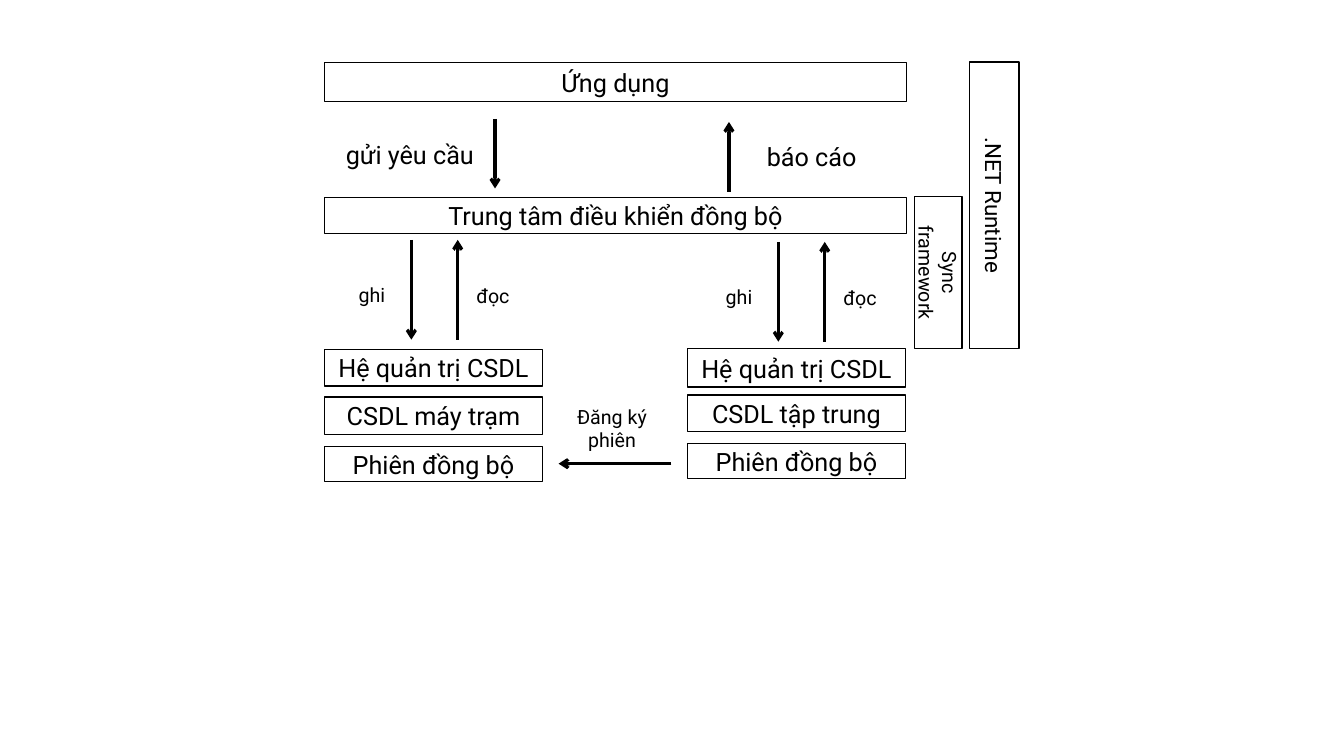
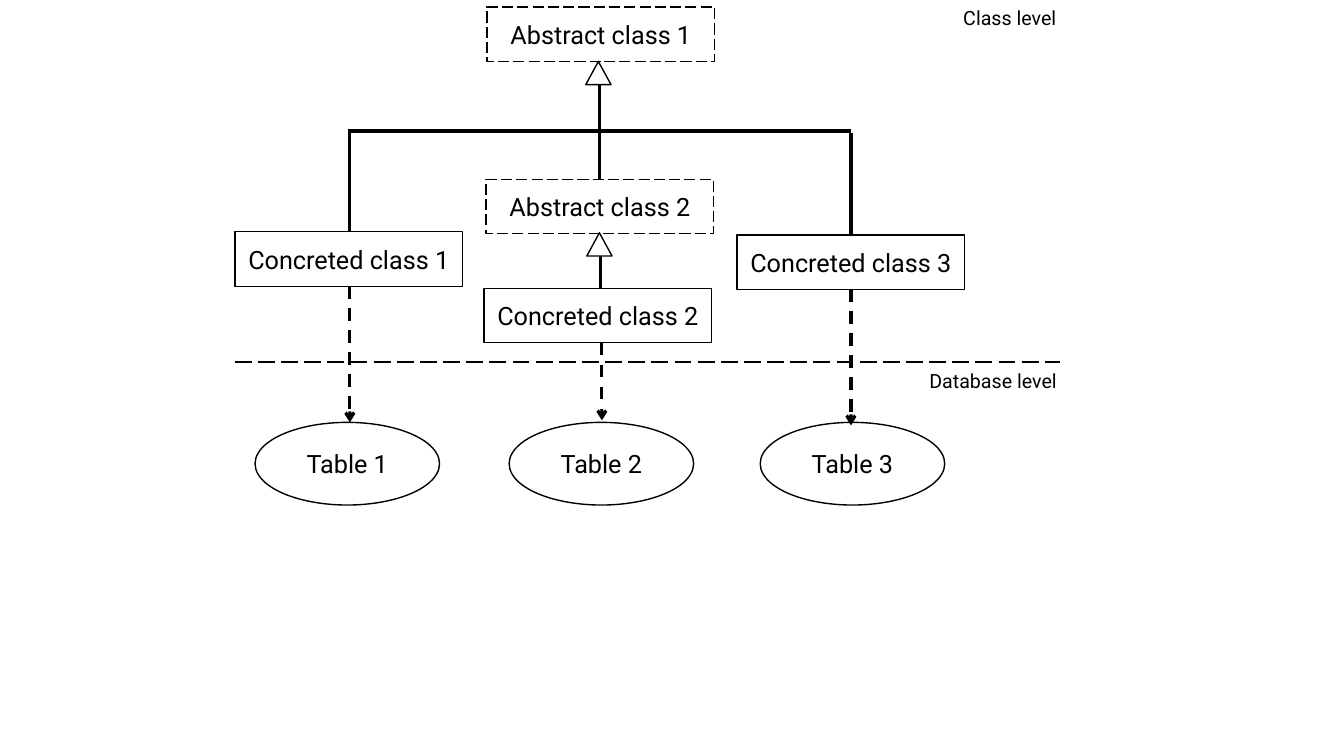
from dataclasses import dataclass

from lxml import etree
from pptx import Presentation
from pptx.dml.color import RGBColor
from pptx.enum.dml import MSO_LINE
from pptx.enum.shapes import MSO_CONNECTOR, MSO_SHAPE
from pptx.enum.text import MSO_ANCHOR, PP_ALIGN
from pptx.oxml.ns import qn
from pptx.util import Inches, Pt

RECTANGLE, OVAL, TRIANGLE = MSO_SHAPE.RECTANGLE, MSO_SHAPE.OVAL, MSO_SHAPE.ISOSCELES_TRIANGLE
STRAIGHT = MSO_CONNECTOR.STRAIGHT
DASH, LONG_DASH = MSO_LINE.DASH, MSO_LINE.LONG_DASH
MIDDLE, CENTER = MSO_ANCHOR.MIDDLE, PP_ALIGN.CENTER

SLIDE_WIDTH, SLIDE_HEIGHT = 13.33, 7.5
COLUMNS, ROWS = 133.3, 75
BLANK_LAYOUT = 6


@dataclass(frozen=True)
class Theme:
    font: str = "Roboto"
    ink: RGBColor = RGBColor(0, 0, 0)
    paper: RGBColor = RGBColor(255, 255, 255)
    body: float = 18
    side: float = 16
    small: float = 14
    outline: float = 1
    divider: float = 1.5
    link: float = 2.25


class Diagram:
    """Draws on the current slide; all lengths are columns and rows of the grid."""

    def __init__(self, theme):
        self.theme = theme
        self.deck = Presentation()
        self.deck.slide_width = Inches(SLIDE_WIDTH)
        self.deck.slide_height = Inches(SLIDE_HEIGHT)
        self.slide = None

    def new_slide(self):
        self.slide = self.deck.slides.add_slide(self.deck.slide_layouts[BLANK_LAYOUT])
        fill = self.slide.background.fill
        fill.solid()
        fill.fore_color.rgb = self.theme.paper

    def place(self, column, row):
        return (round(self.deck.slide_width * column / COLUMNS),
                round(self.deck.slide_height * row / ROWS))

    def set_text(self, shape, text, size):
        frame = shape.text_frame
        frame.word_wrap = True
        frame.vertical_anchor = MIDDLE
        paragraph = frame.paragraphs[0]
        paragraph.alignment = CENTER
        run = paragraph.add_run()
        run.text = text
        run.font.name = self.theme.font
        run.font.size = Pt(size)
        run.font.color.rgb = self.theme.ink

    def stroke(self, line, width, dash=None):
        line.color.rgb = self.theme.ink
        line.width = Pt(width)
        if dash:
            line.dash_style = dash

    def node(self, column, row, width, height, text="", kind=RECTANGLE,
             size=None, dash=None, rotation=0):
        """Outlined shape; the frame is the one before rotation."""
        shape = self.slide.shapes.add_shape(
            kind, *self.place(column, row), *self.place(width, height))
        shape.shadow.inherit = False
        shape.fill.background()
        shape.rotation = rotation
        self.stroke(shape.line, self.theme.outline, dash)
        if text:
            self.set_text(shape, text, size or self.theme.body)

    def label(self, column, row, width, text, size=None, height=5.4):
        box = self.slide.shapes.add_textbox(
            *self.place(column, row), *self.place(width, height))
        self.set_text(box, text, size or self.theme.small)

    def link(self, start, end, arrow=False, dash=None, width=None):
        connector = self.slide.shapes.add_connector(
            STRAIGHT, *self.place(*start), *self.place(*end))
        self.stroke(connector.line, width or self.theme.link, dash)
        properties = connector._element.spPr
        if arrow:
            etree.SubElement(properties.find(qn("a:ln")), qn("a:tailEnd"), type="arrow")
        etree.SubElement(properties, qn("a:effectLst"))

    def exchange(self, column, row, length=9.9, gap=4.6):
        """Write arrow going down beside a read arrow going up."""
        self.link((column, row), (column, row + length), arrow=True)
        self.link((column + gap, row + length), (column + gap, row), arrow=True)
        self.label(column - 9.2, row + 2.7, 10.6, "ghi")
        self.label(column + 2.8, row + 2.8, 10.6, "đọc")


def draw_sync_architecture(diagram):
    theme = diagram.theme
    diagram.new_slide()
    client, server = 32.2, 68.2
    for row, height, text in ((6.2, 3.9, "Ứng dụng"),
                              (19.6, 3.6, "Trung tâm điều khiển đồng bộ")):
        diagram.node(client, row, 57.7, height, text)

    stacks = {
        client: ((34.7, 3.6, "Hệ quản trị CSDL"), (39.4, 3.7, "CSDL máy trạm"),
                 (44.3, 3.5, "Phiên đồng bộ")),
        server: ((34.6, 3.8, "Hệ quản trị CSDL"), (39.2, 3.6, "CSDL tập trung"),
                 (44, 3.5, "Phiên đồng bộ")),
    }
    for column, layers in stacks.items():
        for row, height, text in layers:
            diagram.node(column, row, 21.6, height, text)

    diagram.node(85.5, 24.7, 15.1, 4.7, "Sync framework", size=theme.small, rotation=90)
    diagram.node(84.4, 17.9, 28.4, 4.9, ".NET Runtime", size=theme.side, rotation=90)

    diagram.link((49.1, 11.8), (49.1, 18.7), arrow=True)
    diagram.label(32.2, 12.6, 16.9, "gửi yêu cầu", theme.body)
    diagram.link((72.3, 19), (72.3, 12.1), arrow=True)
    diagram.label(72.9, 12.8, 15.2, "báo cáo", theme.body)

    diagram.exchange(40.8, 23.8)
    diagram.exchange(77.2, 24)
    diagram.link((66.6, 46), (55.4, 46), arrow=True)
    diagram.label(55.4, 39.8, 10.6, "Đăng ký phiên")


def draw_class_mapping(diagram):
    diagram.new_slide()
    class_width, class_height = 22.6, 5.4
    for number, (column, row) in enumerate(((48.3, 0.7), (48.2, 17.8)), 1):
        diagram.node(column, row, class_width, class_height,
                     f"Abstract class {number}", dash=LONG_DASH)

    # class column, class row, table column, arrow column, arrow end
    mappings = ((23.3, 23, 25.3, 34.7, 41.9),
                (48, 28.6, 50.5, 59.7, 41.7),
                (73.1, 23.3, 75.4, 84.4, 42.2))
    for number, (column, row, table, axis, tip) in enumerate(mappings, 1):
        diagram.node(column, row, class_width, class_height, f"Concreted class {number}")
        diagram.node(table, 41.9, 18.3, 8.2, f"Table {number}", kind=OVAL)
        diagram.link((axis, row + class_height), (axis, tip), arrow=True, dash=DASH)

    for column, row in ((58.1, 6.1), (58.2, 23.1)):
        diagram.node(column, row, 2.5, 2.3, kind=TRIANGLE)
    inheritance = (((59.5, 8.4), (59.5, 17.9)), ((59.6, 25.4), (59.6, 28.7)),
                   ((34.6, 13), (84.4, 13)),
                   ((34.7, 12.8), (34.7, 23)), ((84.4, 13.2), (84.4, 23.3)))
    for start, end in inheritance:
        diagram.link(start, end)

    diagram.link((23.3, 35.9), (105.1, 35.9), dash=LONG_DASH, width=diagram.theme.divider)
    diagram.label(92.9, -0.9, 14.5, "Class level")
    diagram.label(90.8, 35.1, 15.4, "Database level")


def main():
    diagram = Diagram(Theme())
    draw_sync_architecture(diagram)
    draw_class_mapping(diagram)
    diagram.deck.save("out.pptx")


if __name__ == "__main__":
    main()
